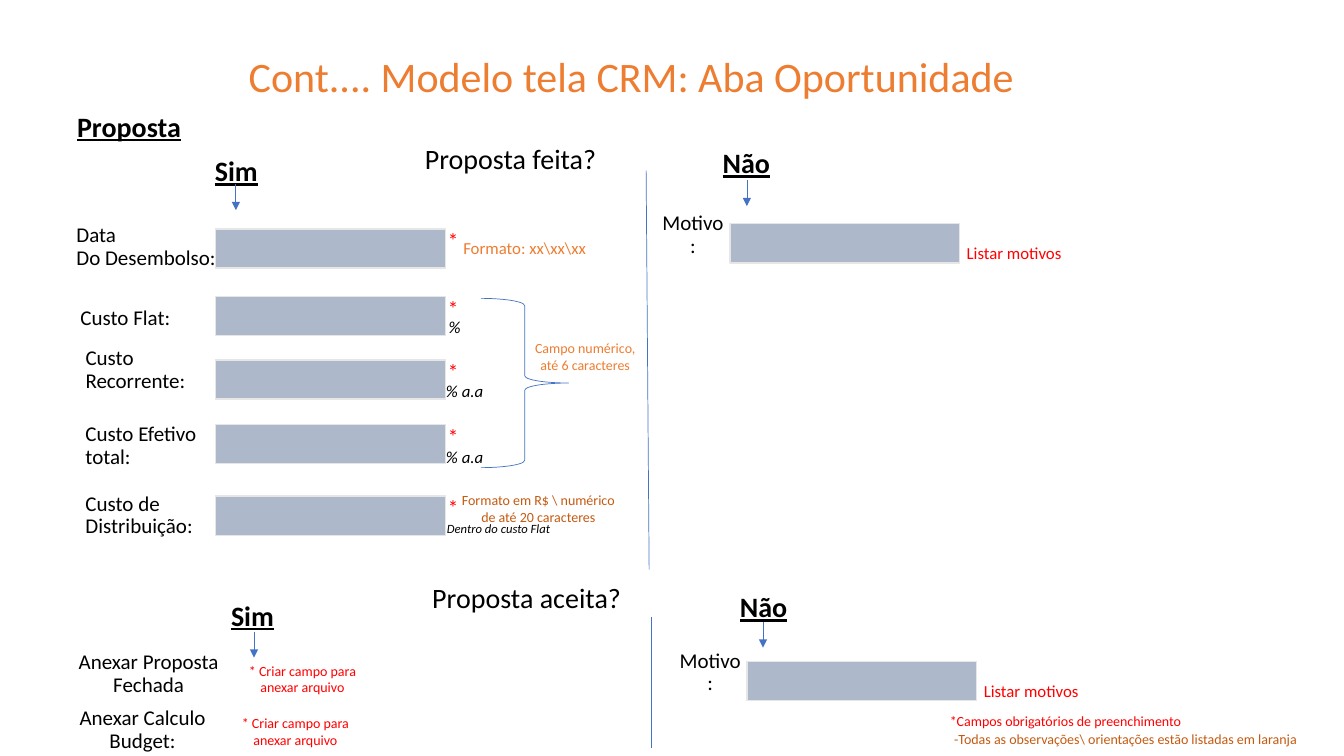
from dataclasses import dataclass

from lxml.etree import SubElement
from pptx import Presentation
from pptx.dml.color import RGBColor
from pptx.enum.shapes import MSO_CONNECTOR, MSO_SHAPE
from pptx.enum.text import MSO_ANCHOR, MSO_AUTO_SIZE, PP_ALIGN
from pptx.oxml.ns import qn
from pptx.util import Inches, Pt

BLACK = RGBColor(0x00, 0x00, 0x00)
RED = RGBColor(0xFF, 0x00, 0x00)
ORANGE = RGBColor(0xED, 0x7D, 0x31)
DARK_ORANGE = RGBColor(0xC5, 0x5A, 0x11)
BLUE = RGBColor(0x44, 0x72, 0xC4)
FIELD_FILL = RGBColor(0xAD, 0xB9, 0xCA)
FIELD_EDGE = RGBColor(0xE7, 0xE6, 0xE6)

# Square grid: 133.33 columns by 75 rows
COLS, ROWS = 133.33, 75
CELL = Inches(0.1)
FIELD_COL, FIELD_W, FIELD_H = 21.4, 22.8, 3.9


@dataclass
class Label:
    text: str
    col: float
    row: float
    w: float
    h: float
    size: float = 15
    color: RGBColor = BLACK
    align: PP_ALIGN = PP_ALIGN.CENTER
    heading: bool = False
    italic: bool = False
    note: bool = False  # top-anchored, box grows with its text


@dataclass
class FormRow:
    label: Label
    field_row: float
    unit: Label | None = None


@dataclass
class Branch:
    """A Sim or Não heading with the arrow below it."""
    text: str
    col: float
    row: float
    arrow_col: float
    arrow_row: float


@dataclass
class Refusal:
    """A Motivo field of a Não branch."""
    col: float
    row: float


def grid(n: float) -> int:
    return round(n * CELL)


def add_label(s, label: Label) -> None:
    box = s.shapes.add_textbox(*map(grid, (label.col, label.row, label.w, label.h)))
    tf = box.text_frame
    tf.word_wrap = True
    tf.auto_size = MSO_AUTO_SIZE.SHAPE_TO_FIT_TEXT if label.note else MSO_AUTO_SIZE.NONE
    tf.vertical_anchor = MSO_ANCHOR.TOP if label.note else MSO_ANCHOR.BOTTOM
    tf.text = label.text
    for p in tf.paragraphs:
        p.alignment = label.align
        p.line_spacing = 1.0 if label.note else 0.9
        p.font.name, p.font.size = "Calibri", Pt(label.size)
        p.font.color.rgb = label.color
        p.font.bold = p.font.underline = label.heading
        p.font.italic = label.italic


def add_field(s, col: float, row: float) -> None:
    sp = s.shapes.add_shape(MSO_SHAPE.RECTANGLE, *map(grid, (col, row, FIELD_W, FIELD_H)))
    sp.shadow.inherit = False
    sp.fill.solid()
    sp.fill.fore_color.rgb = FIELD_FILL
    sp.line.color.rgb = FIELD_EDGE
    sp.line.width = Pt(1)


def add_line(s, col1: float, row1: float, col2: float, row2: float, arrow: bool = False) -> None:
    line = s.shapes.add_connector(MSO_CONNECTOR.STRAIGHT, *map(grid, (col1, row1, col2, row2)))
    line.line.color.rgb = BLUE
    line.line.width = Pt(0.5)
    if arrow:
        SubElement(line.line._get_or_add_ln(), qn("a:tailEnd"), type="triangle")
    SubElement(line._element.spPr, qn("a:effectLst"))


def add_brace(s, col: float, row: float, w: float, h: float) -> None:
    sp = s.shapes.add_shape(MSO_SHAPE.RIGHT_BRACE, *map(grid, (col, row, w, h)))
    sp.shadow.inherit = False
    sp.fill.background()
    sp.line.color.rgb = BLUE
    sp.line.width = Pt(0.5)


def add_form_row(s, form_row: FormRow) -> None:
    row = form_row.field_row
    add_label(s, form_row.label)
    add_field(s, FIELD_COL, row)
    add_label(s, Label("*", 41.8, row - 3.1, 6.3, 6, color=RED))
    if form_row.unit:
        add_label(s, form_row.unit)


def add_branch(s, branch: Branch) -> None:
    add_label(s, Label(branch.text, branch.col, branch.row, 8.5, 3, 20, heading=True))
    add_line(s, branch.arrow_col, branch.arrow_row, branch.arrow_col, branch.arrow_row + 2.55, arrow=True)


def add_refusal(s, refusal: Refusal) -> None:
    col, row = refusal.col, refusal.row
    add_label(s, Label("Motivo:", col - 7.9, row + 0.9, 8.5, 3))
    add_field(s, col, row)
    add_label(s, Label("Listar motivos", col + 21.1, row + 1.4, 14.2, 3, 12, RED, note=True))


LEFT = PP_ALIGN.LEFT
FORM_ROWS = [
    FormRow(Label("Data\nDo Desembolso:", 6.6, 22.8, 18.7, 4.5, align=LEFT), 22.7),
    FormRow(Label("Custo Flat:", 7, 30, 13.8, 3.2, align=LEFT), 29.4,
            Label("%", 41.8, 29.8, 6.6, 4.1, 12, italic=True)),
    FormRow(Label("Custo Recorrente:", 7.5, 36.7, 12.1, 2.8, align=LEFT), 35.7,
            Label("% a.a", 42.8, 36.2, 6.6, 4.1, 12, italic=True)),
    FormRow(Label("Custo Efetivo total:", 7.5, 42.2, 13.3, 4.8, align=LEFT), 42.1,
            Label("% a.a", 42.8, 42.7, 6.6, 4.1, 12, italic=True)),
    FormRow(Label("Custo de Distribuição:", 7.5, 50.1, 16.3, 3.8, align=LEFT), 49.2,
            Label("Dentro do custo Flat", 43.2, 49.6, 12.5, 4.1, 9, italic=True)),
]
BRANCHES = [
    Branch("Sim", 19.2, 16.1, 23.4, 18.3),
    Branch("Não", 69.8, 15.3, 74.1, 17.9),
    Branch("Sim", 20.8, 60.2, 25.2, 62.7),
    Branch("Não", 71.5, 59.4, 75.7, 61.7),
]
REFUSALS = [Refusal(72.4, 22.2), Refusal(74.1, 65.6)]
TEXTS = [
    # Title and questions
    Label("Proposta", 5.9, 10.9, 13.8, 3.8, 20, heading=True),
    Label("Cont.... Modelo tela CRM: Aba Oportunidade", 19.7, 2, 85.9, 8.6, 30, ORANGE),
    Label("Proposta feita?", 39, 14.5, 23.3, 3.4, 20),
    Label("Proposta aceita?", 40.6, 58.1, 23.3, 3.4, 20),
    # Format notes
    Label("Formato: xx\\xx\\xx", 42.7, 23.1, 18.7, 3, 12, ORANGE, note=True),
    Label("Campo numérico, até 6 caracteres", 51.6, 33.2, 12.9, 4.4, 10, ORANGE, note=True),
    Label("Formato em R$ \\ numérico de até 20 caracteres", 44.2, 48.3, 18.4, 4.4, 10,
          DARK_ORANGE, note=True),
    # Attachments
    Label("Anexar Proposta Fechada", 6.6, 65.8, 16.3, 3.8),
    Label("Anexar Calculo Budget:", 6, 71.4, 16.3, 3.8),
    Label("* Criar campo para anexar arquivo", 22.9, 65.2, 14.2, 4.4, 10, RED, note=True),
    Label("* Criar campo para anexar arquivo", 22.2, 70.4, 14.2, 4.4, 10, RED, note=True),
    # Legend
    Label("*Campos obrigatórios de preenchimento", 89.5, 69.1, 32.4, 3.8, 10, RED),
    Label("-Todas as observações\\ orientações estão listadas em laranja", 89.9, 72.4, 43.5, 2.3,
          10, DARK_ORANGE),
]


def main() -> None:
    prs = Presentation()
    prs.slide_width, prs.slide_height = grid(COLS), grid(ROWS)
    s = prs.slides.add_slide(prs.slide_layouts[6])

    # Form and its branches
    for form_row in FORM_ROWS:
        add_form_row(s, form_row)
    for branch in BRANCHES:
        add_branch(s, branch)
    for refusal in REFUSALS:
        add_refusal(s, refusal)

    # Dividers between Sim and Não, and the brace over the numeric fields
    add_line(s, 64.1, 16.9, 64.4, 56.5)
    add_line(s, 64.6, 61.2, 64.6, 74.2)
    add_brace(s, 47.7, 29.6, 8.7, 16.8)

    for label in TEXTS:
        add_label(s, label)
    prs.save("out.pptx")


if __name__ == "__main__":
    main()
